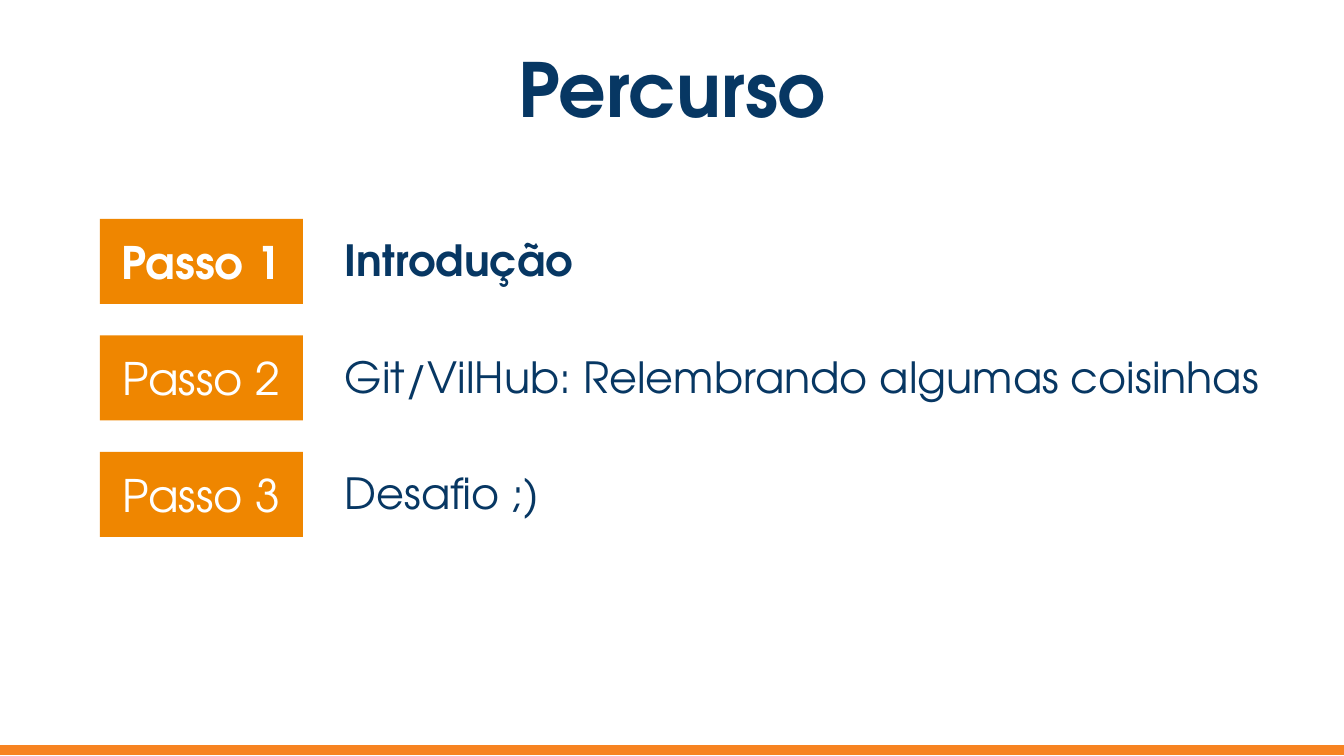
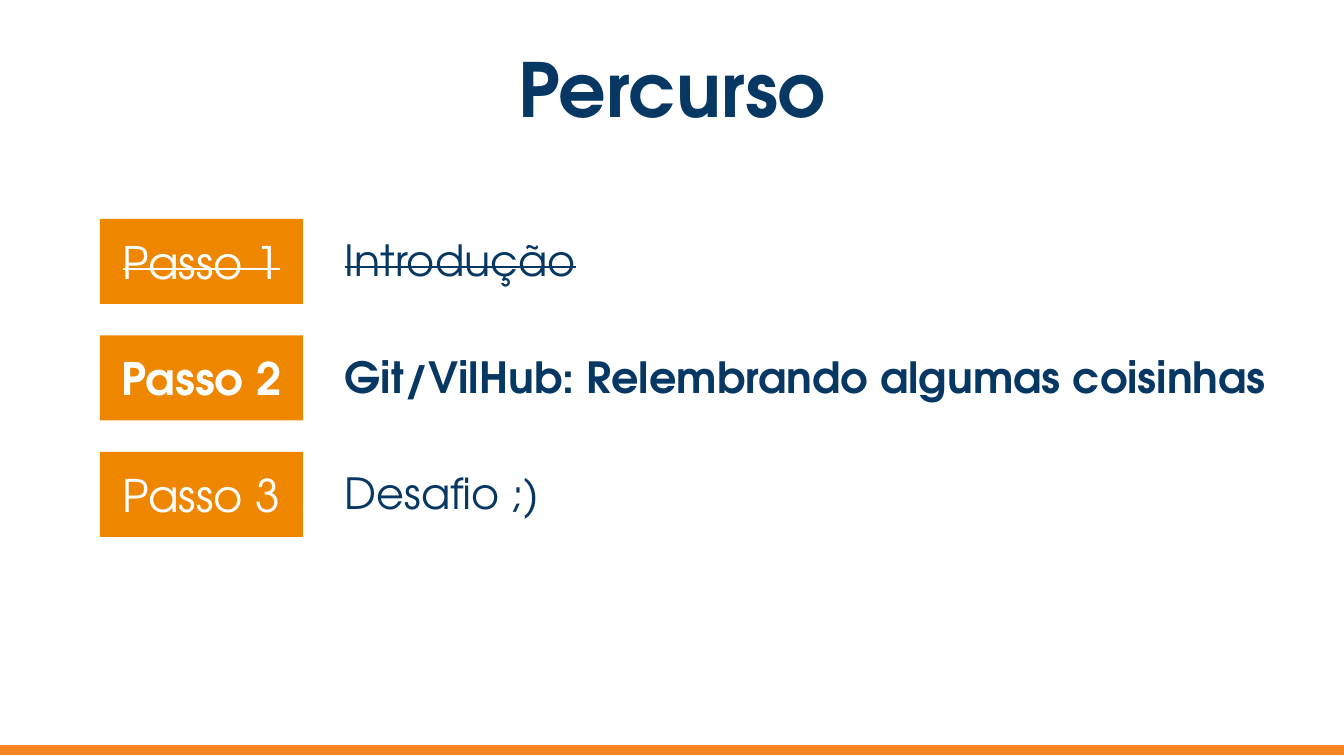
from pptx import Presentation
from pptx.dml.color import RGBColor
from pptx.enum.shapes import MSO_SHAPE
from pptx.enum.text import MSO_ANCHOR, MSO_AUTO_SIZE, PP_ALIGN
from pptx.util import Emu, Pt

NAVY = RGBColor(0x07, 0x37, 0x63)
ORANGE = RGBColor(0xEF, 0x86, 0x00)
FOOTER_ORANGE = RGBColor(0xF7, 0x83, 0x21)
WHITE = RGBColor(0xFF, 0xFF, 0xFF)
FONT = "TeX Gyre Adventor"
SCALE = 914400 / 134.4
WIDTH, HEIGHT = 1344, 756
TOPICS = ["Introdução", "Git/VilHub: Relembrando algumas coisinhas", "Desafio ;)"]


def px(length):
    return Emu(round(length * SCALE))


def place(part, left, top, width, height):
    part.left, part.top = px(left), px(top)
    part.width, part.height = px(width), px(height)


def write(part, text, size, color, align, bold=False, strike=False, inset=13):
    frame = part.text_frame
    frame.word_wrap = True
    frame.auto_size = MSO_AUTO_SIZE.NONE
    frame.vertical_anchor = MSO_ANCHOR.MIDDLE
    frame.margin_left = frame.margin_right = px(13)
    frame.margin_top = frame.margin_bottom = px(inset)
    paragraph = frame.paragraphs[0]
    paragraph.text = text
    paragraph.alignment = align
    font = paragraph.font
    font.name, font.size, font.bold = FONT, Pt(size), bold
    font.color.rgb = color
    if strike:
        paragraph.runs[0].font._element.set("strike", "sngStrike")
    return paragraph


def add_block(slide, left, top, width, height, color):
    block = slide.shapes.add_shape(
        MSO_SHAPE.RECTANGLE, px(left), px(top), px(width), px(height))
    block.shadow.inherit = False
    block.fill.solid()
    block.fill.fore_color.rgb = color
    block.line.fill.background()
    return block


def add_title(slide, text, left, top, width, height):
    title = slide.shapes.title
    place(title, left, top, width, height)
    write(title, text, 40, NAVY, PP_ALIGN.CENTER, bold=True)


def add_footer(slide, left, top, width, height):
    footer = add_block(slide, left, top, width, height, FOOTER_ORANGE)
    footer.line.color.rgb = FOOTER_ORANGE
    footer.line.width = Pt(0.75)


def add_step(slide, number, topic, left, top, width, height, active, done):
    badge_width, gap = 203, 29
    badge = add_block(slide, left, top, badge_width, height, ORANGE)
    write(badge, f"Passo {number}", 24, WHITE, PP_ALIGN.CENTER, active, done)
    offset = badge_width + gap
    label = slide.shapes.add_textbox(
        px(left + offset), px(top + 8), px(width - offset), px(height - 17))
    paragraph = write(label, topic, 23, NAVY, PP_ALIGN.LEFT, active, done, inset=7)
    label.text_frame.vertical_anchor = MSO_ANCHOR.TOP
    indents = paragraph._p.get_or_add_pPr()
    indents.set("marL", str(px(67)))
    indents.set("indent", str(px(-67)))


def add_steps(slide, current, left, top, width, height):
    step_height = 85
    pitch = (height - step_height) / (len(TOPICS) - 1)
    for number, topic in enumerate(TOPICS, 1):
        add_step(slide, number, topic, left, top + (number - 1) * pitch, width,
                 step_height, number == current, number < current)


def add_route_slide(deck, current):
    slide = deck.slides.add_slide(deck.slide_layouts[5])
    slide.background.fill.solid()
    slide.background.fill.fore_color.rgb = WHITE
    add_title(slide, "Percurso", 46, 44, WIDTH - 2 * 46, 88)
    add_footer(slide, 0, HEIGHT - 10, WIDTH, 8)
    add_steps(slide, current, 100, 219, 1198, 318)


deck = Presentation()
deck.slide_width, deck.slide_height = px(WIDTH), px(HEIGHT)
for current_step in (1, 2):
    add_route_slide(deck, current_step)
deck.save("out.pptx")
